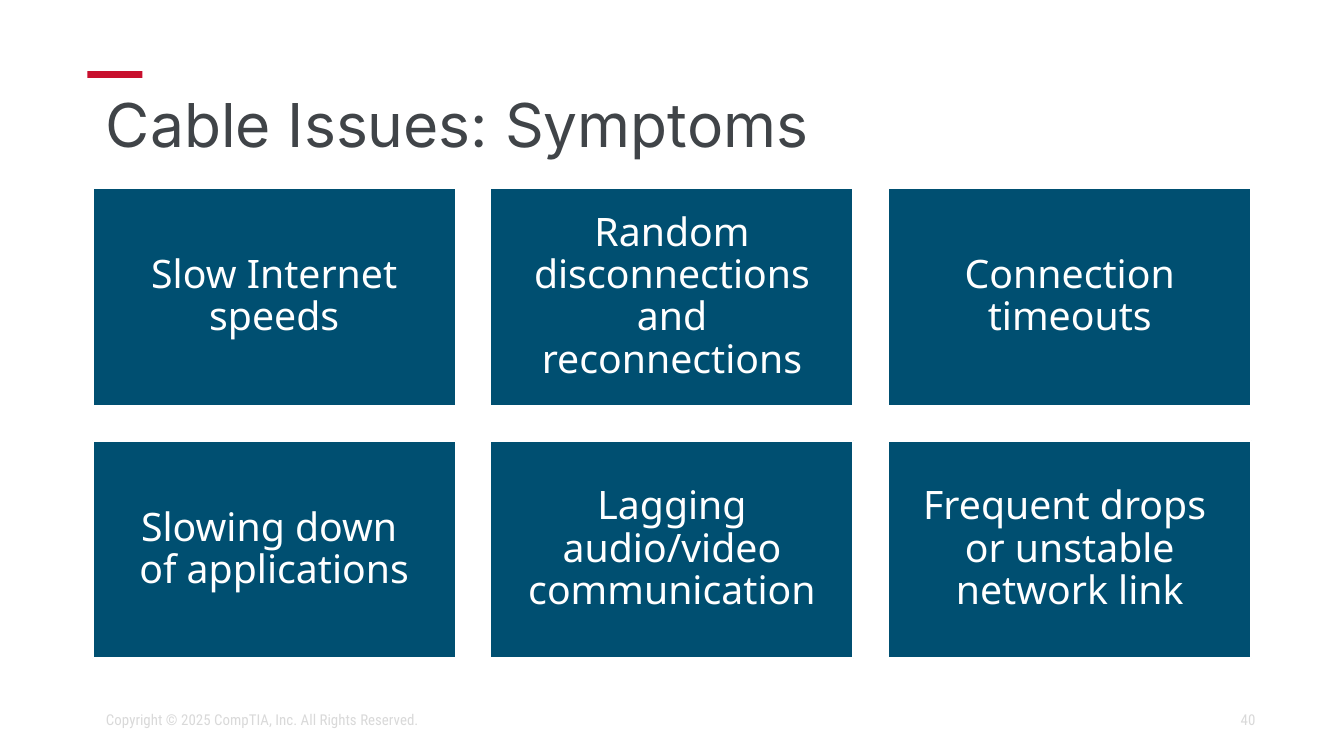
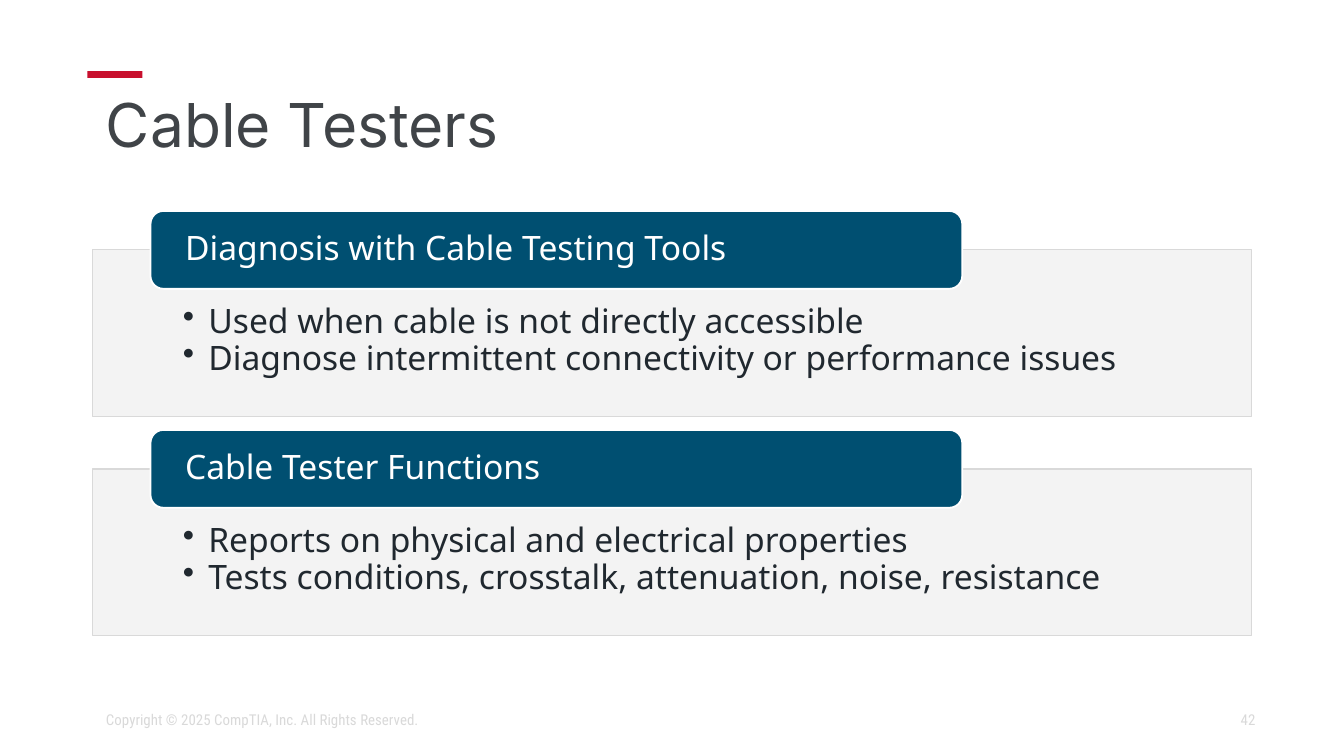
"""Build two slides on cable issues and cable testers."""
from dataclasses import dataclass

from lxml import etree
from pptx import Presentation
from pptx import util as u
from pptx.dml import color
from pptx.enum import shapes, text
from pptx.oxml import ns

RED, BLUE, WHITE = "C8102E", "004F71", "FFFFFF"
SLATE, INK, PALE, GREY = "404448", "20282F", "F2F2F2", "D9D9D9"
LEFT, WIDTH = 0.69, 8.62
RECT = shapes.MSO_SHAPE.RECTANGLE
ROUND = shapes.MSO_SHAPE.ROUNDED_RECTANGLE
START, MID, END = text.PP_ALIGN.LEFT, text.PP_ALIGN.CENTER, text.PP_ALIGN.RIGHT


@dataclass(frozen=True)
class Box:
    """Place and size in inches."""
    left: float
    top: float
    width: float
    height: float

    def lengths(self) -> list:
        """Return the four values as lengths."""
        return [u.Inches(v) for v in (self.left, self.top, self.width, self.height)]


@dataclass(frozen=True)
class Style:
    """Look of a block of text."""
    font: str
    size: float
    hue: str
    align: text.PP_ALIGN = START
    anchor: text.MSO_ANCHOR = text.MSO_ANCHOR.MIDDLE
    inset: tuple = (0.1, 0.05, 0.1, 0.05)
    lead: float = 0.9
    bullet: bool = False


@dataclass(frozen=True)
class Panel:
    """A heading tab with its bullet points."""
    head: str
    points: tuple


TITLE = Style("Inter", 32.4, SLATE)
FOOT = Style("Roboto Condensed", 8, GREY, lead=1.0)
PAGE = Style("Roboto Condensed", 8, GREY, END, lead=1.0)
TILE = Style("Noto Sans", 21, WHITE, MID, inset=(0.09,) * 4)
HEAD = Style("Noto Sans", 18, WHITE, inset=(0.23, 0, 0.23, 0))
BODY = Style("Noto Sans", 18, INK, anchor=text.MSO_ANCHOR.TOP,
             inset=(0.67, 0.41, 0.67, 0.14), bullet=True)

SIGNS = ("Slow Internet speeds", "Random disconnections and reconnections",
         "Connection timeouts", "Slowing down \nof applications",
         "Lagging audio/video communication",
         "Frequent drops \nor unstable network link")
PANELS = (
    Panel("Diagnosis with Cable Testing Tools",
          ("Used when cable is not directly accessible",
           "Diagnose intermittent connectivity or performance issues")),
    Panel("Cable Tester Functions",
          ("Reports on physical and electrical properties",
           "Tests conditions, crosstalk, attenuation, noise, resistance")),
)


def rgb(code: str) -> color.RGBColor:
    """Turn a hex string into a colour."""
    return color.RGBColor.from_string(code)


def add_bullet(para) -> None:
    """Give a paragraph a hanging bullet."""
    props = para._p.get_or_add_pPr()
    props.set("marL", str(u.Inches(0.19)))
    props.set("indent", str(u.Inches(-0.19)))
    etree.SubElement(props, ns.qn("a:buChar")).set("char", "•")


def write(shape, lines: tuple, style: Style) -> None:
    """Write one paragraph per line into a shape."""
    frame = shape.text_frame
    frame.word_wrap = True
    frame.vertical_anchor = style.anchor
    (frame.margin_left, frame.margin_top, frame.margin_right,
     frame.margin_bottom) = [u.Inches(v) for v in style.inset]
    for spot, line in enumerate(lines):
        para = frame.add_paragraph() if spot else frame.paragraphs[0]
        if style.bullet:
            add_bullet(para)
        para.alignment = style.align
        para.line_spacing = style.lead
        for part, words in enumerate(line.split("\n")):
            if part:
                para.add_line_break()
            run = para.add_run()
            run.text = words
            run.font.name = style.font
            run.font.size = u.Pt(style.size)
            run.font.color.rgb = rgb(style.hue)


def label(slide, box: Box, words: str, style: Style) -> None:
    """Add a text box with one line."""
    write(slide.shapes.add_textbox(*box.lengths()), (words,), style)


def block(slide, box: Box, fill: str, line: str = "", weight: float = 1,
          kind=RECT, alpha: int = 100):
    """Add a filled shape, with an outline if a line colour is given."""
    shape = slide.shapes.add_shape(kind, *box.lengths())
    shape.shadow.inherit = False
    shape.fill.solid()
    shape.fill.fore_color.rgb = rgb(fill)
    if alpha < 100:
        hue = shape._element.spPr.find(f".//{ns.qn('a:srgbClr')}")
        etree.SubElement(hue, ns.qn("a:alpha")).set("val", str(alpha * 1000))
    if line:
        shape.line.color.rgb = rgb(line)
        shape.line.width = u.Pt(weight)
    else:
        shape.line.fill.background()
    return shape


def add_slide(deck, title: str, page: int):
    """Add a slide with its accent bar, title and footer."""
    slide = deck.slides.add_slide(deck.slide_layouts[6])
    slide.background.fill.solid()
    slide.background.fill.fore_color.rgb = rgb(WHITE)
    block(slide, Box(0.65, 0.53, 0.41, 0.05), RED)
    label(slide, Box(LEFT, 0.64, WIDTH, 0.63), title, TITLE)
    label(slide, Box(7.06, 5.21, 2.38, 0.3), str(page), PAGE)
    label(slide, Box(LEFT, 5.21, 4.31, 0.3),
          "Copyright © 2025 CompTIA, Inc. All Rights Reserved.", FOOT)
    return slide


def add_tiles(slide) -> None:
    """Lay the symptoms out in three columns."""
    wide, high, cols = 2.7, 1.62, 3
    gap = (WIDTH - cols * wide) / (cols - 1)
    for spot, sign in enumerate(SIGNS):
        row, col = divmod(spot, cols)
        box = Box(LEFT + col * (wide + gap), 1.4 + row * (high + gap), wide, high)
        write(block(slide, box, BLUE, WHITE), (sign,), TILE)


def add_panels(slide) -> None:
    """Stack the panels with a tab over each top edge."""
    for row, panel in enumerate(PANELS):
        top = 1.57 + row * 1.63
        body = block(slide, Box(LEFT, top + 0.29, WIDTH, 1.24), PALE, GREY, 0.75,
                     alpha=90)
        write(body, panel.points, BODY)
        tab = block(slide, Box(1.12, top, 6.04, 0.58), BLUE, WHITE, kind=ROUND)
        write(tab, (panel.head,), HEAD)


def main() -> None:
    """Build and save the deck."""
    deck = Presentation()
    deck.slide_width, deck.slide_height = u.Inches(10), u.Inches(5.62)
    add_tiles(add_slide(deck, "Cable Issues: Symptoms", 40))
    add_panels(add_slide(deck, "Cable Testers", 42))
    deck.save("out.pptx")


if __name__ == "__main__":
    main()
